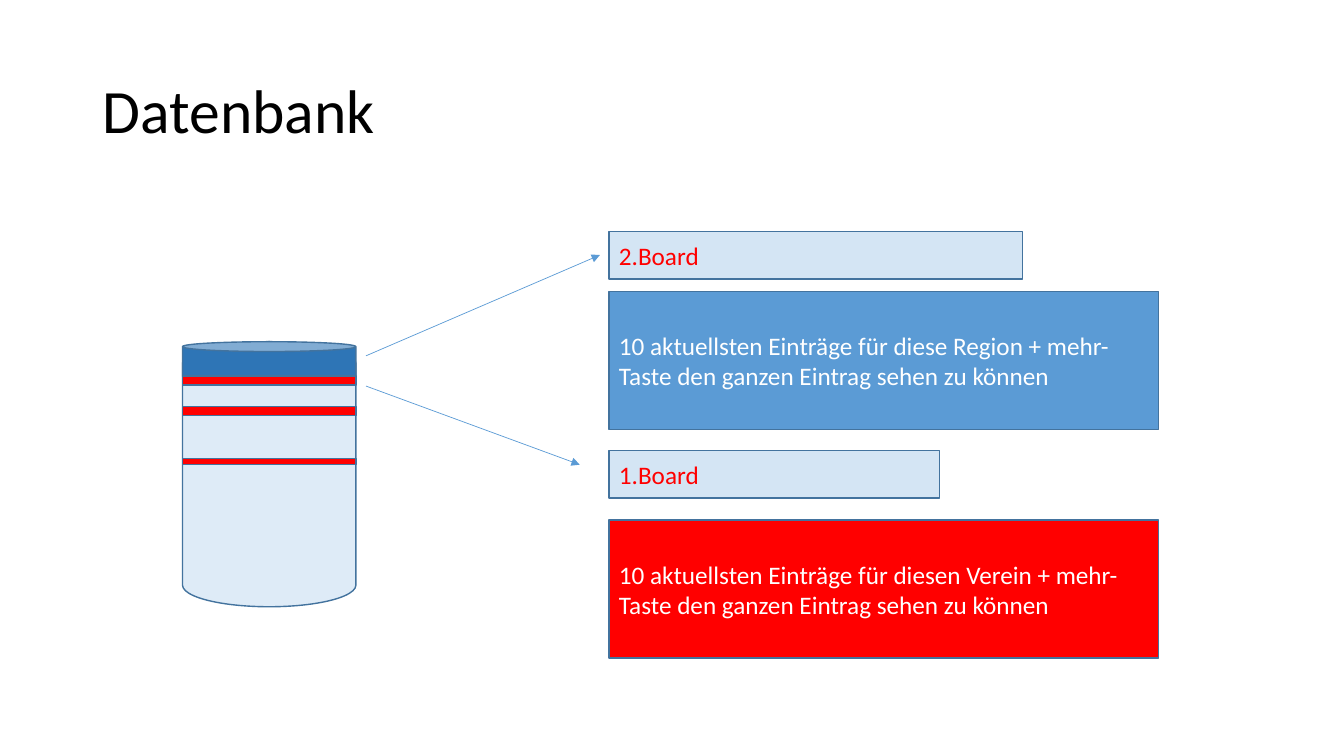
from dataclasses import dataclass
from typing import Optional

from lxml import etree
from pptx import Presentation
from pptx import util as u
from pptx.dml.color import RGBColor
from pptx.enum import shapes, text
from pptx.oxml import ns

FONT = "Calibri"
BLACK = RGBColor(0x00, 0x00, 0x00)
WHITE = RGBColor(0xFF, 0xFF, 0xFF)
RED = RGBColor(0xFF, 0x00, 0x00)
BLUE = RGBColor(0x5B, 0x9B, 0xD5)
DARK_BLUE = RGBColor(0x2E, 0x75, 0xB6)
PALE_BLUE = RGBColor(0xDE, 0xEB, 0xF7)
OUTLINE = RGBColor(0x43, 0x73, 0x9E)

CAN = shapes.MSO_SHAPE.CAN
RECTANGLE = shapes.MSO_SHAPE.RECTANGLE

DATABASE_LEFT, DATABASE_TOP, DATABASE_WIDTH = 1.81, 3.39, 1.72
BOARD_LEFT = 6.04
LABEL_HEIGHT = 0.47
ENTRY_WIDTH, ENTRY_HEIGHT = 5.45, 1.37
ARROW_LEFT = 3.63


@dataclass
class Block:
    left: float
    top: float
    width: float
    height: float
    fill: RGBColor
    kind: shapes.MSO_SHAPE = RECTANGLE
    wording: str = ""
    color: RGBColor = WHITE
    opacity: Optional[int] = None  # percent


@dataclass
class Arrow:
    top: float
    end_x: float
    end_y: float


def database_part(top: float, height: float, fill: RGBColor,
                  kind: shapes.MSO_SHAPE = RECTANGLE) -> Block:
    return Block(DATABASE_LEFT, top, DATABASE_WIDTH, height, fill, kind)


def board_label(top: float, width: float, wording: str) -> Block:
    return Block(BOARD_LEFT, top, width, LABEL_HEIGHT, BLUE,
                 wording=wording, color=RED, opacity=26)


def board_entry(top: float, fill: RGBColor, subject: str) -> Block:
    wording = (f"10 aktuellsten Einträge für {subject} + mehr-Taste "
               "den ganzen Eintrag sehen zu können")
    return Block(BOARD_LEFT, top, ENTRY_WIDTH, ENTRY_HEIGHT, fill, wording=wording)


BLOCKS = [
    database_part(DATABASE_TOP, 2.63, PALE_BLUE, CAN),
    database_part(DATABASE_TOP, 0.39, DARK_BLUE, CAN),
    database_part(3.73, 0.09, RED),
    database_part(4.03, 0.09, RED),
    database_part(4.55, 0.06, RED),
    board_label(2.3, 4.1, "2.Board"),
    board_entry(2.89, BLUE, "diese Region"),
    board_label(4.47, 3.28, "1.Board"),
    board_entry(5.16, RED, "diesen Verein"),
]
ARROWS = [Arrow(3.53, 5.95, 2.53), Arrow(3.83, 5.75, 4.61)]


def write_text(box, wording: str, size: float, color: RGBColor):
    frame = box.text_frame
    frame.word_wrap = True
    frame.vertical_anchor = text.MSO_ANCHOR.MIDDLE
    para = frame.paragraphs[0]
    para.text = wording
    para.alignment = text.PP_ALIGN.LEFT
    para.font.name = FONT
    para.font.size = u.Pt(size)
    para.font.color.rgb = color
    return para


def draw_title(page, wording: str) -> None:
    box = page.shapes.add_textbox(u.Inches(0.92), u.Inches(0.4),
                                  u.Inches(11.5), u.Inches(1.45))
    write_text(box, wording, 44, BLACK).line_spacing = 0.9


def draw_block(page, block: Block) -> None:
    box = page.shapes.add_shape(block.kind, u.Inches(block.left), u.Inches(block.top),
                                u.Inches(block.width), u.Inches(block.height))
    box.shadow.inherit = False
    box.fill.solid()
    box.fill.fore_color.rgb = block.fill
    box.line.color.rgb = OUTLINE
    box.line.width = u.Pt(1)
    if block.opacity is not None:
        color = box.fill._xPr.find(ns.qn("a:solidFill"))[0]
        etree.SubElement(color, ns.qn("a:alpha"), val=str(block.opacity * 1000))
    if block.wording:
        write_text(box, block.wording, 18, block.color)


def draw_arrow(page, arrow: Arrow) -> None:
    line = page.shapes.add_connector(
        shapes.MSO_CONNECTOR.STRAIGHT, u.Inches(ARROW_LEFT), u.Inches(arrow.top),
        u.Inches(arrow.end_x), u.Inches(arrow.end_y))
    line.line.color.rgb = BLUE
    line.line.width = u.Pt(0.5)
    etree.SubElement(line.line._get_or_add_ln(), ns.qn("a:tailEnd"), type="triangle")
    etree.SubElement(line._element.spPr, ns.qn("a:effectLst"))


def main() -> None:
    deck = Presentation()
    deck.slide_width, deck.slide_height = u.Inches(13.33), u.Inches(7.5)
    page = deck.slides.add_slide(deck.slide_layouts[6])

    # Title
    draw_title(page, "Datenbank")

    # Database and boards
    for block in BLOCKS:
        draw_block(page, block)

    # Arrows from the database to the boards
    for arrow in ARROWS:
        draw_arrow(page, arrow)

    deck.save("out.pptx")


if __name__ == "__main__":
    main()
